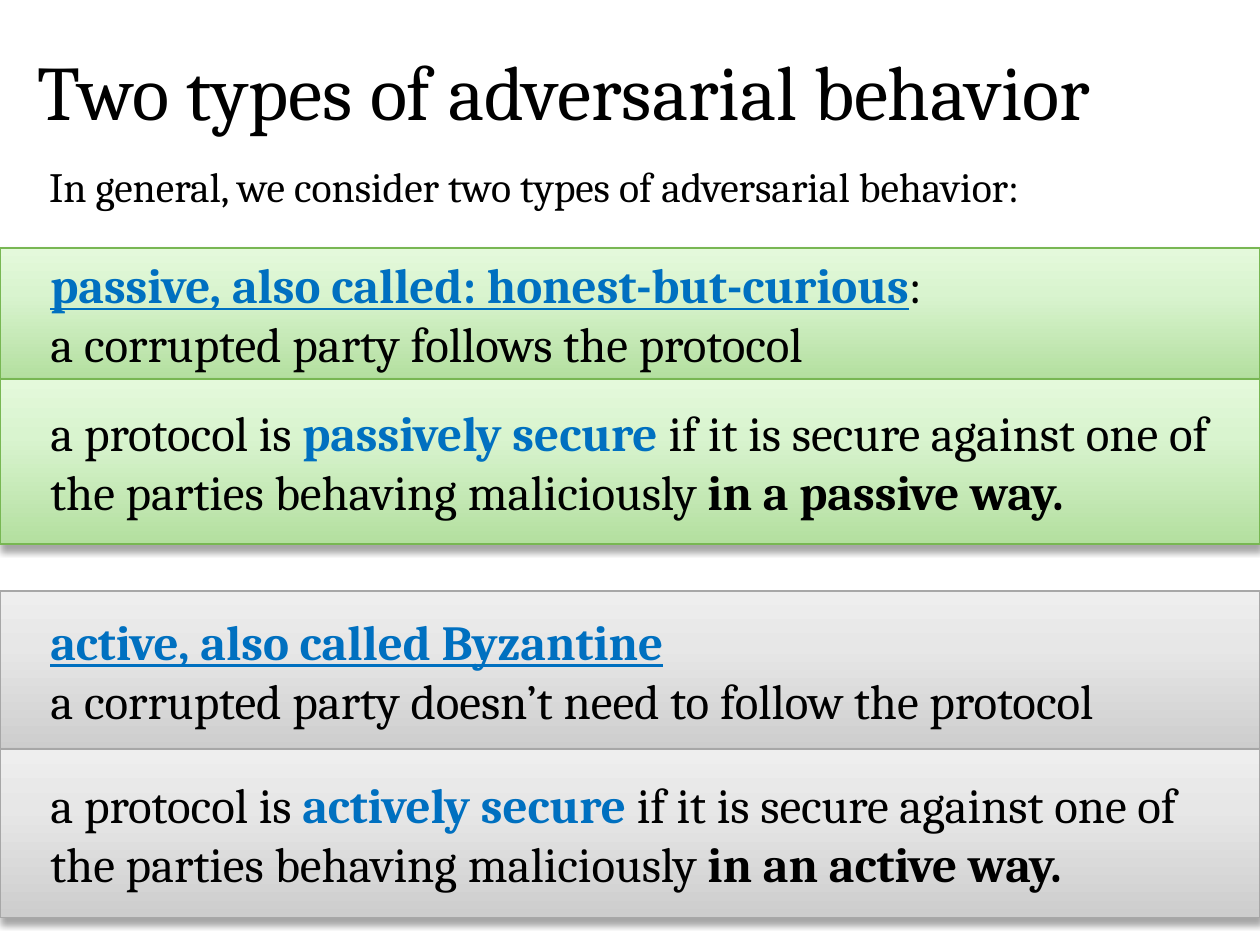
import copy

import lxml.etree
import pptx
import pptx.dml.color
import pptx.enum.shapes
import pptx.enum.text
import pptx.oxml
import pptx.oxml.ns
import pptx.util

Pt = pptx.util.Pt
qn = pptx.oxml.ns.qn
FONT, BLACK, BLUE = "Cambria", "000000", "0070C0"
GREEN = ("78B753", [(0, "B3DF9F"), (0.65, "D9F4CF"), (1, "E4F9DB")])
GRAY = ("A7A7A7", [(0, "CDCDCD"), (0.65, "E7E7E7"), (1, "EEEEEE")])
SHADOW = (
    '<a:outerShdw xmlns:a="http://schemas.openxmlformats.org/drawingml/2006/main" '
    'blurRad="50800" dist="38100" dir="5400000" rotWithShape="0">'
    '<a:srgbClr val="000000"><a:alpha val="35000"/></a:srgbClr></a:outerShdw>'
)


def rgb(value):
    return pptx.dml.color.RGBColor.from_string(value)


prs = pptx.Presentation()
prs.slide_width, prs.slide_height = Pt(720), Pt(540)
s = prs.slides.add_slide(prs.slide_layouts[1])

# Title and introduction
headings = [
    (s.shapes.title, "Two types of adversarial behavior",
     (14.4, 2.2, 698.4, 104.4), 44, 0.9, 0, pptx.enum.text.MSO_ANCHOR.MIDDLE),
    (s.placeholders[1], "In general, we consider two types of adversarial behavior:",
     (20.9, 93.6, 648, 39.6), 23.8, 0.8, 10, pptx.enum.text.MSO_ANCHOR.TOP),
]
for sp, text, box, size, spacing, before, anchor in headings:
    sp.left, sp.top, sp.width, sp.height = map(Pt, box)
    tf = sp.text_frame
    tf.text = text
    tf.auto_size = pptx.enum.text.MSO_AUTO_SIZE.NONE
    tf.vertical_anchor = anchor
    p = tf.paragraphs[0]
    p.alignment = pptx.enum.text.PP_ALIGN.LEFT
    p.line_spacing, p.space_before = spacing, Pt(before)
    p.font.name, p.font.size = FONT, Pt(size)
    p.font.color.rgb = rgb(BLACK)
    pPr = p._p.get_or_add_pPr()
    pPr.set("marL", "0")
    pPr.set("indent", "0")
    # The bullet setting must precede the paragraph's default run properties
    pPr.find(qn("a:defRPr")).addprevious(lxml.etree.Element(qn("a:buNone")))

# Panels: top, height, palette, paragraphs of (text, colour, bold, underline)
security = "if it is secure against one of the parties behaving maliciously "
panels = [
    (337.7, 90.7, GRAY, [
        [("active, also called Byzantine", BLUE, True, True)],
        [("a corrupted party doesn’t need to follow the protocol", BLACK, False, False)]]),
    (141.8, 74.9, GREEN, [
        [("passive, also called: honest-but-curious", BLUE, True, True),
         (":", BLACK, False, False)],
        [("a corrupted party follows the protocol", BLACK, False, False)]]),
]
for top, height, palette, word, ending in [
    (427.9, 96.5, GRAY, "actively secure ", "in an active way."),
    (216.7, 94.3, GREEN, "passively secure ", "in a passive way."),
]:
    panels.append((top, height, palette, [
        [("a protocol is ", BLACK, False, False), (word, BLUE, True, False),
         (security, BLACK, False, False), (ending, BLACK, True, False)]]))

for top, height, (edge, stops), paragraphs in panels:
    sp = s.shapes.add_shape(pptx.enum.shapes.MSO_SHAPE.RECTANGLE,
                            Pt(0), Pt(top), Pt(720), Pt(height))

    # Three-stop gradient running upwards
    sp.fill.gradient()
    sp.fill.gradient_angle = 90
    gs_list = sp._element.spPr.find(qn("a:gradFill")).find(qn("a:gsLst"))
    gs_list.append(copy.deepcopy(gs_list[0]))
    for stop, (position, color) in zip(sp.fill.gradient_stops, stops):
        stop.position = position
        stop.color.rgb = rgb(color)

    # Outline and soft shadow
    sp.line.color.rgb = rgb(edge)
    sp.line.width = Pt(1)
    sp.shadow.inherit = False
    sp._element.spPr.find(qn("a:effectLst")).append(pptx.oxml.parse_xml(SHADOW))

    # Text
    tf = sp.text_frame
    tf.word_wrap = True
    tf.vertical_anchor = pptx.enum.text.MSO_ANCHOR.MIDDLE
    tf.margin_left, tf.margin_right = Pt(28.8), Pt(7.2)
    tf.margin_top = tf.margin_bottom = Pt(3.6)
    for i, runs in enumerate(paragraphs):
        p = tf.add_paragraph() if i else tf.paragraphs[0]
        p.alignment = pptx.enum.text.PP_ALIGN.LEFT
        p.font.name, p.font.size = FONT, Pt(28)
        for text, color, bold, underline in runs:
            r = p.add_run()
            r.text = text
            r.font.name, r.font.size = FONT, Pt(28)
            r.font.color.rgb = rgb(color)
            r.font.bold, r.font.underline = bold, underline

prs.save("out.pptx")
